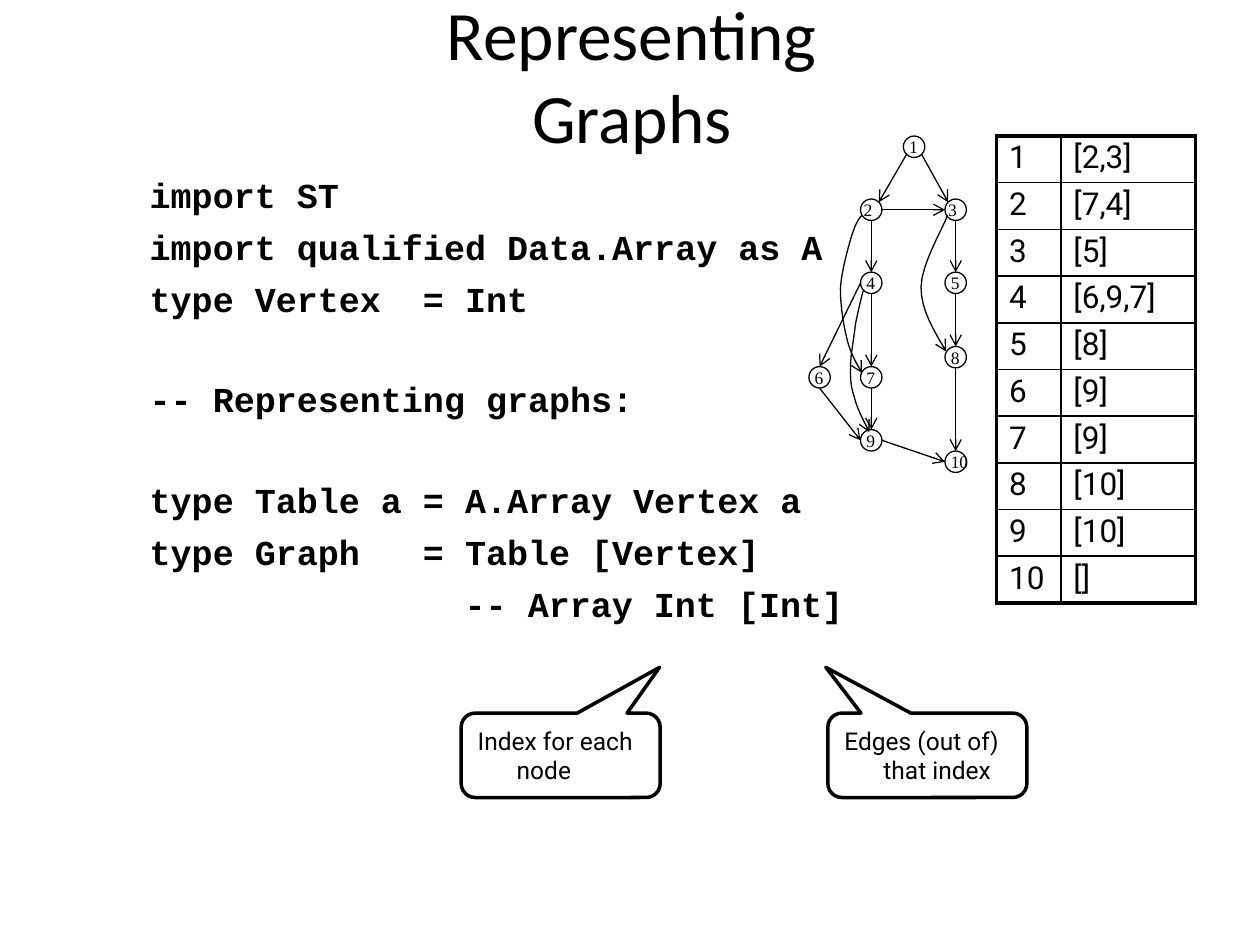
"""Builds a slide on representing a graph as an array of adjacency lists."""
import lxml.etree
import pptx
import pptx.dml.color
import pptx.enum.shapes
import pptx.enum.text
import pptx.oxml.ns
import pptx.util

Inches, Pt = pptx.util.Inches, pptx.util.Pt
ANCHOR, ALIGN = pptx.enum.text.MSO_ANCHOR, pptx.enum.text.PP_ALIGN
SHAPE = pptx.enum.shapes.MSO_SHAPE

COLORS = {"ink": "000000", "paper": "FFFFFF"}
TITLE = "Representing Graphs"
CODE = [
    ("import ST", 0, 0),
    ("import qualified Data.Array as A", 0, 0),
    ("type Vertex  = Int", 0, 0),
    ("-- Representing graphs:", 1, 0),
    ("type Table a = A.Array Vertex a", 1, 0),
    ("type Graph   = Table [Vertex]", 0, 0),
    ("-- Array Int [Int]", 0, 15),
]
LINE_HEIGHT, LINE_GAP, CHARACTER_WIDTH = 22.65, 5.5, 12
CALLOUTS = [
    ("Index for each node", 3.66, 0.497),
    ("Edges (out of) that index", 6.57, -0.51),
]
NODE_SIZE = 0.17
NODES = {
    1: (7.17, 1.08), 2: (6.83, 1.58), 3: (7.5, 1.58), 4: (6.83, 2.16),
    5: (7.5, 2.16), 7: (6.83, 2.91), 8: (7.5, 2.75), 9: (6.83, 3.41),
    10: (7.5, 3.58), 6: (6.42, 2.91),
}
FLUSH_NODES = (2, 3)
DIRECTIONS = {
    "N": (0, -1), "S": (0, 1), "E": (1, 0), "W": (-1, 0),
    "NE": (0.7, -0.7), "NW": (-0.7, -0.7), "SE": (0.7, 0.7), "SW": (-0.7, 0.7),
}
STRAIGHT_EDGES = [
    (2, "E", 3, "W"), (1, "SW", 2, "NE"), (1, "SE", 3, "NW"),
    (3, "S", 5, "N"), (5, "S", 8, "N"), (8, "S", 10, "N"),
    (2, "S", 4, "N"), (4, "S", 7, "N"), (7, "S", 9, "N"),
    (4, "W", 6, "N"), (9, "E", 10, "W"), (6, "S", 9, "W"),
]
CURVED_EDGES = [
    [(6.84, 1.71), (6.81, 1.74), (6.79, 1.78), (6.76, 1.87), (6.73, 1.97),
     (6.68, 2.15), (6.67, 2.29), (6.67, 2.44), (6.7, 2.61), (6.73, 2.72),
     (6.76, 2.83), (6.82, 2.92), (6.84, 2.96)],
    [(6.85, 2.31), (6.83, 2.39), (6.81, 2.47), (6.79, 2.57), (6.78, 2.67),
     (6.75, 2.82), (6.75, 2.91), (6.75, 3.01), (6.75, 3.06), (6.78, 3.15),
     (6.8, 3.24), (6.85, 3.33), (6.9, 3.43)],
    [(7.52, 1.71), (7.49, 1.8), (7.31, 2.1), (7.31, 2.28), (7.31, 2.46),
     (7.41, 2.62), (7.51, 2.79)],
]
CURVE_STEPS = 8
ADJACENCY = ["[2,3]", "[7,4]", "[5]", "[6,9,7]", "[8]", "[9]", "[9]", "[10]", "[10]", "[]"]
COLUMN_WIDTHS = [0.51, 1.07]
ROW_HEIGHT = 0.37
THICK, THIN = 2.25, 1


def color(name):
    return pptx.dml.color.RGBColor.from_string(COLORS[name])


def add_xml(parent, tag, **attributes):
    return lxml.etree.SubElement(parent, pptx.oxml.ns.qn(tag), **attributes)


def style_text(para, font, size, bold=False):
    for span in para.runs:
        span.font.name, span.font.size, span.font.bold = font, Pt(size), bold
        span.font.color.rgb = color("ink")


def set_indent(para, left, first):
    properties = para._p.get_or_add_pPr()
    properties.set("marL", str(Inches(left)))
    properties.set("indent", str(Inches(first)))


def set_line(shape, width):
    shape.line.color.rgb = color("ink")
    shape.line.width = Pt(width)


def add_arrowhead(shape):
    add_xml(shape.line._get_or_add_ln(), "a:tailEnd", type="arrow")


def add_text_box(slide, left, top, width, height):
    box = slide.shapes.add_textbox(*map(Inches, (left, top, width, height)))
    box.text_frame.word_wrap = True
    return box.text_frame


def add_outlined(slide, kind, text, area, width):
    shape = slide.shapes.add_shape(kind, *map(Inches, area))
    shape.shadow.inherit = False
    shape.fill.solid()
    shape.fill.fore_color.rgb = color("paper")
    set_line(shape, width)
    shape.text_frame.text = text
    shape.text_frame.vertical_anchor = ANCHOR.MIDDLE
    shape.text_frame.paragraphs[0].alignment = ALIGN.LEFT
    return shape


def add_title(slide):
    frame = add_text_box(slide, 2.6, 0.33, 4.83, 0.52)
    frame.margin_left = frame.margin_right = Inches(0.2)
    frame.vertical_anchor = ANCHOR.MIDDLE
    frame.text = TITLE
    frame.paragraphs[0].alignment = ALIGN.CENTER
    style_text(frame.paragraphs[0], "Calibri", 39.6)


def add_code(slide):
    frame = add_text_box(slide, 1.09, 1.33, 8.4, 5.24)
    frame.text = "\n".join(text for text, _, _ in CODE)
    for para, (_, skipped, columns) in zip(frame.paragraphs, CODE):
        para.space_before = Pt(LINE_GAP + skipped * (LINE_HEIGHT + LINE_GAP))
        set_indent(para, 0.38 + columns * CHARACTER_WIDTH / 72, -0.38)
        style_text(para, "Courier New", 20, True)


def add_callouts(slide):
    for text, left, tip in CALLOUTS:
        area = (left, 5.66, 1.58, 0.67)
        callout = add_outlined(slide, SHAPE.ROUNDED_RECTANGULAR_CALLOUT, text, area, 2)
        for index, value in enumerate((tip, -1.042, 0.167)):
            callout.adjustments[index] = value
        para = callout.text_frame.paragraphs[0]
        set_indent(para, 0.31, -0.31)
        style_text(para, "Roboto", 14)


def rim_point(node, direction):
    radius = NODE_SIZE / 2
    return [Inches(start + radius + radius * step)
            for start, step in zip(NODES[node], DIRECTIONS[direction])]


def curve_points(controls):
    points = [controls[0]]
    for start in range(0, len(controls) - 1, 3):
        for step in range(1, CURVE_STEPS + 1):
            t = step / CURVE_STEPS
            weights = ((1 - t) ** 3, 3 * t * (1 - t) ** 2, 3 * t * t * (1 - t), t ** 3)
            segment = controls[start:start + 4]
            points.append(tuple(sum(w * point[axis] for w, point in zip(weights, segment))
                                for axis in (0, 1)))
    return [tuple(map(Inches, point)) for point in points]


def add_graph(slide):
    for node, corner in NODES.items():
        area = (*corner, NODE_SIZE, NODE_SIZE)
        frame = add_outlined(slide, SHAPE.OVAL, str(node), area, 0.75).text_frame
        frame.word_wrap = False
        if node in FLUSH_NODES:
            frame.margin_left = frame.margin_right = frame.margin_top = frame.margin_bottom = 0
        style_text(frame.paragraphs[0], "Times New Roman", 10)
    for source, leaving, target, entering in STRAIGHT_EDGES:
        edge = slide.shapes.add_connector(
            pptx.enum.shapes.MSO_CONNECTOR.STRAIGHT,
            *rim_point(source, leaving), *rim_point(target, entering))
        set_line(edge, 0.75)
        add_arrowhead(edge)
        add_xml(edge._element.spPr, "a:effectLst")
    for controls in CURVED_EDGES:
        first, *rest = curve_points(controls)
        builder = slide.shapes.build_freeform(*first)
        builder.add_line_segments(rest, close=False)
        edge = builder.convert_to_shape()
        edge.shadow.inherit = False
        edge.fill.background()
        set_line(edge, 0.75)
        add_arrowhead(edge)


def set_borders(cell, widths):
    properties = cell._tc.get_or_add_tcPr()
    for side, width in widths.items():
        line = add_xml(properties, "a:ln" + side, w=str(Pt(width)))
        add_xml(add_xml(line, "a:solidFill"), "a:srgbClr", val=COLORS["ink"])


def add_adjacency_table(slide):
    count = len(ADJACENCY)
    area = (7.91, 1.08, sum(COLUMN_WIDTHS), count * ROW_HEIGHT)
    table = slide.shapes.add_table(count, 2, *map(Inches, area)).table
    table.first_row = table.horz_banding = False
    for column, width in zip(table.columns, COLUMN_WIDTHS):
        column.width = Inches(width)
    for row, targets in enumerate(ADJACENCY):
        for column, text in enumerate((str(row + 1), targets)):
            cell = table.cell(row, column)
            cell.text = text
            cell.text_frame.paragraphs[0].line_spacing = 0.9
            style_text(cell.text_frame.paragraphs[0], "Roboto", 18)
            outer = {"L": column == 0, "R": column == 1, "T": row == 0, "B": row == count - 1}
            set_borders(cell, {side: THICK if edge else THIN for side, edge in outer.items()})
            cell.fill.background()


def main():
    deck = pptx.Presentation()
    deck.slide_width, deck.slide_height = Inches(10), Inches(7.5)
    slide = deck.slides.add_slide(deck.slide_layouts[6])
    for add_part in (add_title, add_code, add_callouts, add_graph, add_adjacency_table):
        add_part(slide)
    deck.save("out.pptx")


if __name__ == "__main__":
    main()
